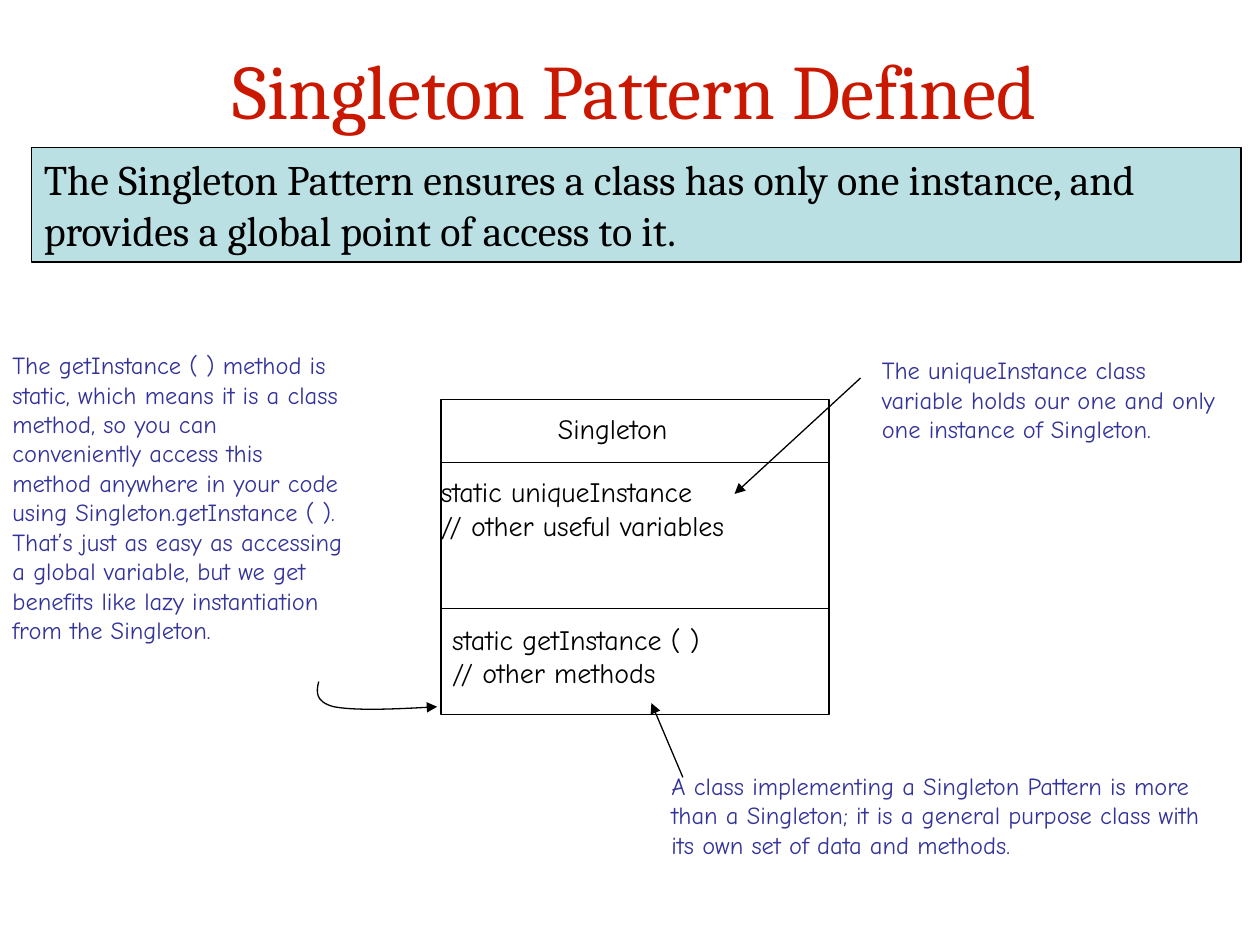
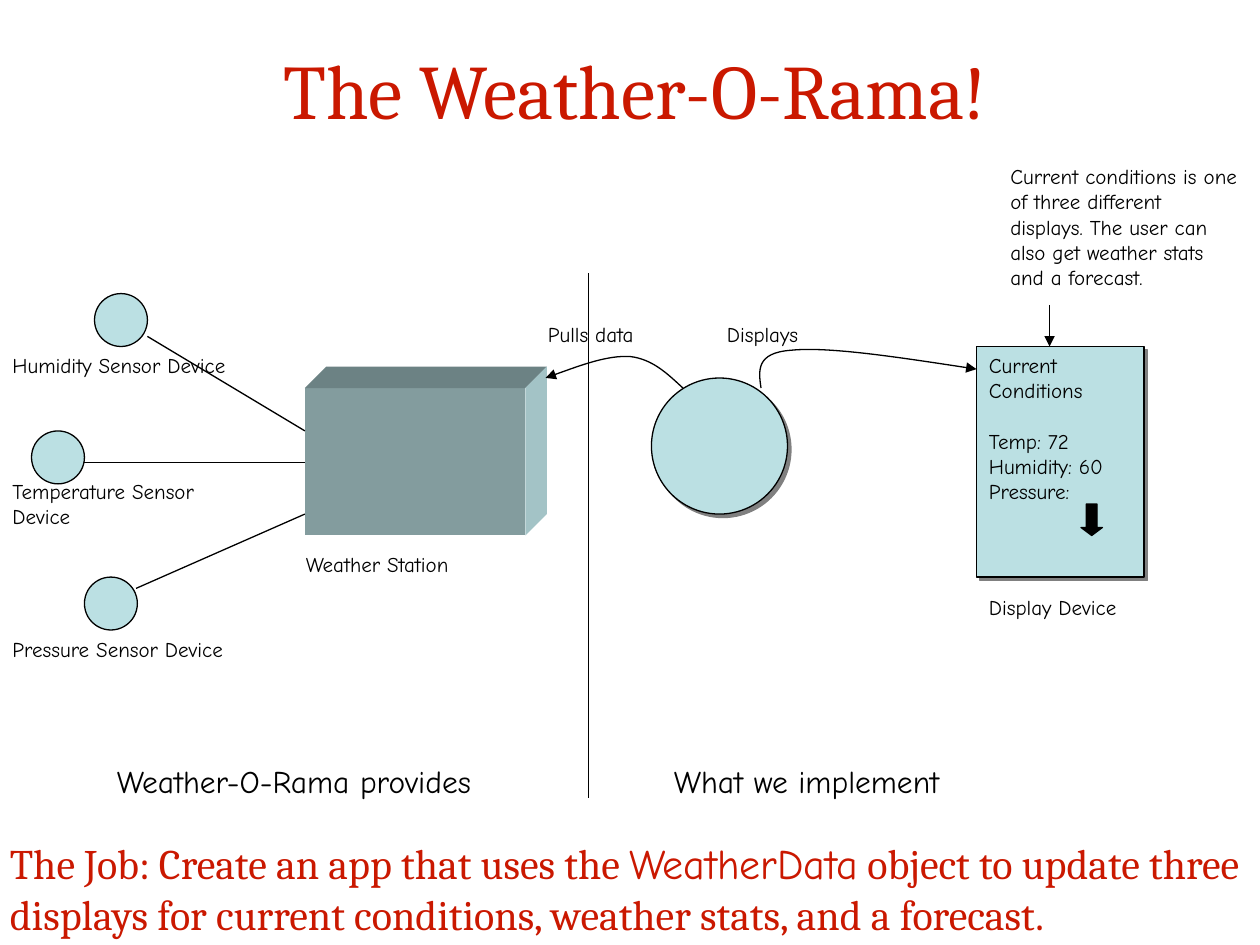
from lxml import etree
from pptx import Presentation
from pptx.dml.color import RGBColor
from pptx.enum.shapes import MSO_CONNECTOR, MSO_SHAPE
from pptx.enum.text import MSO_ANCHOR, PP_ALIGN
from pptx.oxml.ns import qn
from pptx.util import Inches, Pt

RED = RGBColor(0xCA, 0x18, 0x00)
BLACK = RGBColor(0, 0, 0)
NOTE_BLUE = RGBColor(0x33, 0x33, 0x99)
PALE_TEAL = RGBColor(0xBB, 0xE0, 0xE3)
STATION_FRONT = RGBColor(0x83, 0x9C, 0x9E)
STATION_TOP = RGBColor(0x6C, 0x82, 0x84)
STATION_SIDE = RGBColor(0xA3, 0xC3, 0xC6)

SERIF = "Cambria"
HAND = "Comic Neue"
LINE_WIDTH = Pt(0.75)


def add_run(paragraph, text, size, color=BLACK, font=HAND):
    run = paragraph.add_run()
    run.text = text
    run.font.size = Pt(size)
    run.font.name = font
    run.font.color.rgb = color


def add_text(slide, left, top, width, height, lines, size, color=BLACK, font=HAND):
    """Write one paragraph per line and return the text frame."""
    box = slide.shapes.add_textbox(Inches(left), Inches(top), Inches(width), Inches(height))
    frame = box.text_frame
    frame.word_wrap = True
    for index, line in enumerate(lines):
        paragraph = frame.add_paragraph() if index else frame.paragraphs[0]
        add_run(paragraph, line, size, color, font)
    return frame


def add_title(slide, text):
    frame = add_text(slide, 0.5, 0.08, 9.08, 1.25, [text], 44, RED, SERIF)
    frame.vertical_anchor = MSO_ANCHOR.MIDDLE
    frame.paragraphs[0].alignment = PP_ALIGN.CENTER


def add_figure(slide, preset, left, top, width, height, fill=None):
    figure = slide.shapes.add_shape(
        preset, Inches(left), Inches(top), Inches(width), Inches(height))
    figure.shadow.inherit = False
    if fill is None:
        figure.fill.background()
    else:
        figure.fill.solid()
        figure.fill.fore_color.rgb = fill
    figure.line.color.rgb = BLACK
    figure.line.width = LINE_WIDTH
    return figure


def add_drop_shadow(figure):
    effects = figure._element.spPr.find(qn("a:effectLst"))
    shadow = etree.SubElement(effects, qn("a:outerShdw"), dist=str(Pt(2.8)),
                              dir="2700000", algn="ctr", rotWithShape="0")
    etree.SubElement(shadow, qn("a:srgbClr"), val="808080")


def add_arrowhead(arrow):
    outline = arrow._element.spPr.find(qn("a:ln"))
    etree.SubElement(outline, qn("a:tailEnd"), type="triangle")


def add_line(slide, start, end, arrow=False):
    connector = slide.shapes.add_connector(
        MSO_CONNECTOR.STRAIGHT, *[Inches(value) for value in (*start, *end)])
    connector.line.color.rgb = BLACK
    connector.line.width = LINE_WIDTH
    if arrow:
        add_arrowhead(connector)
    etree.SubElement(connector._element.spPr, qn("a:effectLst"))


def add_outline(slide, points, close):
    vertices = [(Inches(x), Inches(y)) for x, y in points]
    builder = slide.shapes.build_freeform(*vertices[0])
    builder.add_line_segments(vertices[1:], close=close)
    outline = builder.convert_to_shape()
    outline.shadow.inherit = False
    return outline


def add_face(slide, points, color):
    face = add_outline(slide, points, close=True)
    face.fill.solid()
    face.fill.fore_color.rgb = color
    face.line.fill.background()


def add_curved_arrow(slide, points):
    """Draw a Bezier arrow: a start point, then three points per segment."""
    curve = add_outline(slide, points, close=False)
    steps = list(curve._element.iter(qn("a:lnTo")))
    for first in range(0, len(steps), 3):
        segment = etree.Element(qn("a:cubicBezTo"))
        steps[first].addprevious(segment)
        for step in steps[first:first + 3]:
            segment.append(step[0])
            step.getparent().remove(step)
    curve.fill.background()
    curve.line.color.rgb = BLACK
    curve.line.width = LINE_WIDTH
    add_arrowhead(curve)


def add_station(slide, left, top, width, height, depth):
    right, bottom = left + width, top + height
    back_left, back_top, back_right = left + depth, top - depth, right + depth
    add_face(slide, [(left, top), (right, top), (right, bottom), (left, bottom)],
             STATION_FRONT)
    add_face(slide, [(left, top), (back_left, back_top), (back_right, back_top), (right, top)],
             STATION_TOP)
    add_face(slide, [(right, top), (back_right, back_top),
                     (back_right, bottom - depth), (right, bottom)], STATION_SIDE)


def build_singleton(slide):
    add_title(slide, "Singleton Pattern Defined")
    definition = add_figure(slide, MSO_SHAPE.RECTANGLE, 0.25, 1.17, 9.6, 0.91, PALE_TEAL)
    definition.text_frame.vertical_anchor = MSO_ANCHOR.TOP
    sentence = definition.text_frame.paragraphs[0]
    sentence.alignment = PP_ALIGN.LEFT
    add_run(sentence, "The Singleton Pattern ensures a class has only one instance, "
            "and provides a global point of access to it.", 24, font=SERIF)

    class_left, class_width = 3.5, 3.08
    add_figure(slide, MSO_SHAPE.RECTANGLE, class_left, 3.17, class_width, 2.5)
    for divider in (3.67, 4.83):
        add_line(slide, (class_left, divider), (class_left + class_width, divider))
    add_text(slide, 4.33, 3.22, 1.5, 0.41, ["Singleton"], 16)
    add_text(slide, 3.4, 3.72, 2.84, 0.72,
             ["static uniqueInstance", "// other useful variables"], 16)
    add_text(slide, 3.49, 4.89, 2.5, 0.72,
             ["static getInstance ( )", "// other methods"], 16)

    notes = [
        (0, 2.73, 2.85, 3.35,
         "The getInstance ( ) method is static, which means it is a class method, so you can "
         "conveniently access this method anywhere in your code using Singleton.getInstance ( ). "
         "That’s just as easy as accessing a global variable, but we get benefits like lazy "
         "instantiation from the Singleton."),
        (6.9, 2.77, 2.93, 1.18,
         "The uniqueInstance class variable holds our one and only one instance of Singleton."),
        (5.23, 6.07, 4.52, 0.91,
         "A class implementing a Singleton Pattern is more than a Singleton; it is a general "
         "purpose class with its own set of data and methods."),
    ]
    for *place, note in notes:
        add_text(slide, *place, [note], 14, NOTE_BLUE)
    add_curved_arrow(slide, [(2.53, 5.41), (2.51, 5.49), (2.5, 5.57), (2.65, 5.61),
                             (2.81, 5.64), (3.14, 5.63), (3.47, 5.61)])
    add_line(slide, (6.83, 3), (5.83, 3.92), arrow=True)
    add_line(slide, (5.42, 6.17), (5.17, 5.58), arrow=True)


def build_weather(slide):
    add_title(slide, "The Weather-O-Rama!")
    station_left = 2.42
    add_station(slide, station_left, 3.08, 1.75, 1.17, 0.17)
    add_line(slide, (4.67, 2.17), (4.67, 6.33))

    sensors = [
        # name, circle corner, label top, wire start, wire height at the station
        ("Humidity", (0.75, 2.33), 2.75, (1.17, 2.67), 3.42),
        ("Temperature", (0.25, 3.42), 3.75, (0.67, 3.67), 3.67),
        ("Pressure", (0.67, 4.58), 5, (1.08, 4.67), 4.08),
    ]
    for name, corner, label_top, wire_start, wire_end in sensors:
        add_figure(slide, MSO_SHAPE.OVAL, *corner, 0.42, 0.42, PALE_TEAL)
        add_line(slide, (station_left, wire_end), wire_start)
        add_text(slide, 0, label_top, 2.02, 0.57, [f"{name} Sensor Device"], 12)

    weather_data = add_figure(slide, MSO_SHAPE.OVAL, 5.17, 3, 1.08, 1.08, PALE_TEAL)
    display = add_figure(slide, MSO_SHAPE.RECTANGLE, 7.75, 2.75, 1.33, 1.83, PALE_TEAL)
    for figure in (weather_data, display):
        add_drop_shadow(figure)
    add_curved_arrow(slide, [(5.42, 3.08), (5.3, 2.97), (5.18, 2.85), (5, 2.83),
                             (4.82, 2.82), (4.58, 2.91), (4.33, 3)])
    add_curved_arrow(slide, [(6.04, 3.08), (6.02, 2.94), (6, 2.8), (6.28, 2.78),
                             (6.57, 2.75), (7.16, 2.84), (7.75, 2.93)])

    labels = [(2.33, 4.33, "Weather Station"), (4.25, 2.5, "Pulls data"),
              (5.67, 2.5, "Displays"), (7.75, 4.67, "Display Device")]
    for left, top, label in labels:
        add_text(slide, left, top, 2.02, 0.33, [label], 12)
    add_text(slide, 7.92, 1.25, 2.02, 1.26,
             ["Current conditions is one of three different displays. "
              "The user can also get weather stats and a forecast."], 12)
    add_line(slide, (8.33, 2.42), (8.33, 2.75), arrow=True)

    readings = add_text(slide, 7.75, 2.75, 1.33, 1.5,
                        ["Current Conditions", "Temp: 72", "Humidity: 60", "Pressure:"], 12)
    readings.paragraphs[1].space_before = Pt(14.3)
    falling = add_figure(slide, MSO_SHAPE.DOWN_ARROW, 8.58, 4, 0.17, 0.25, BLACK)
    falling.adjustments[1] = 0.375

    for left, side in ((0.83, "Weather-O-Rama provides"), (5.25, "What we implement")):
        add_text(slide, left, 6, 3.5, 0.45, [side], 18)
    job = add_text(slide, -0.02, 6.6, 10.02, 0.9,
                   ["The Job: Create an app that uses the "], 24, RED, SERIF).paragraphs[0]
    add_run(job, "WeatherData", 24, RED)
    add_run(job, " object to update three displays for current conditions, "
            "weather stats, and a forecast.", 24, RED, SERIF)


def main():
    deck = Presentation()
    deck.slide_width, deck.slide_height = Inches(10), Inches(7.5)
    blank = deck.slide_layouts[6]
    for build in (build_singleton, build_weather):
        build(deck.slides.add_slide(blank))
    deck.save("out.pptx")


if __name__ == "__main__":
    main()
